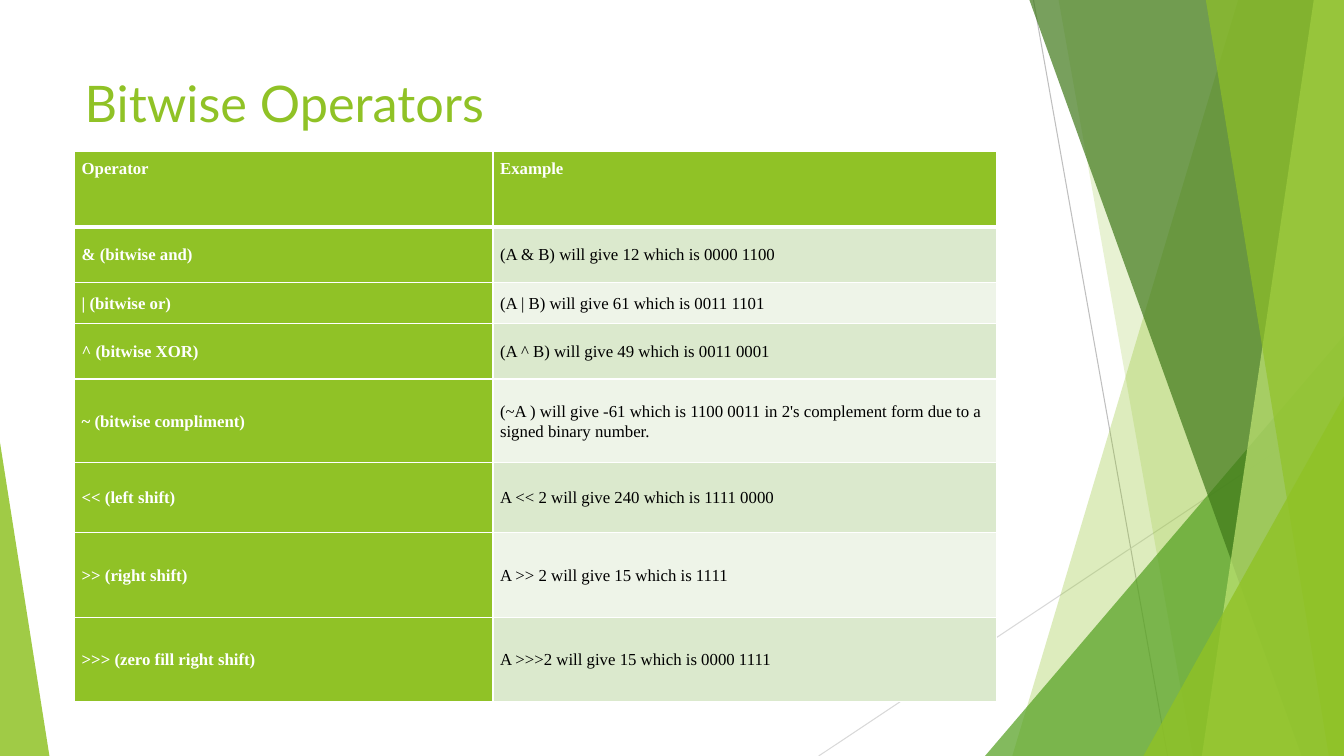
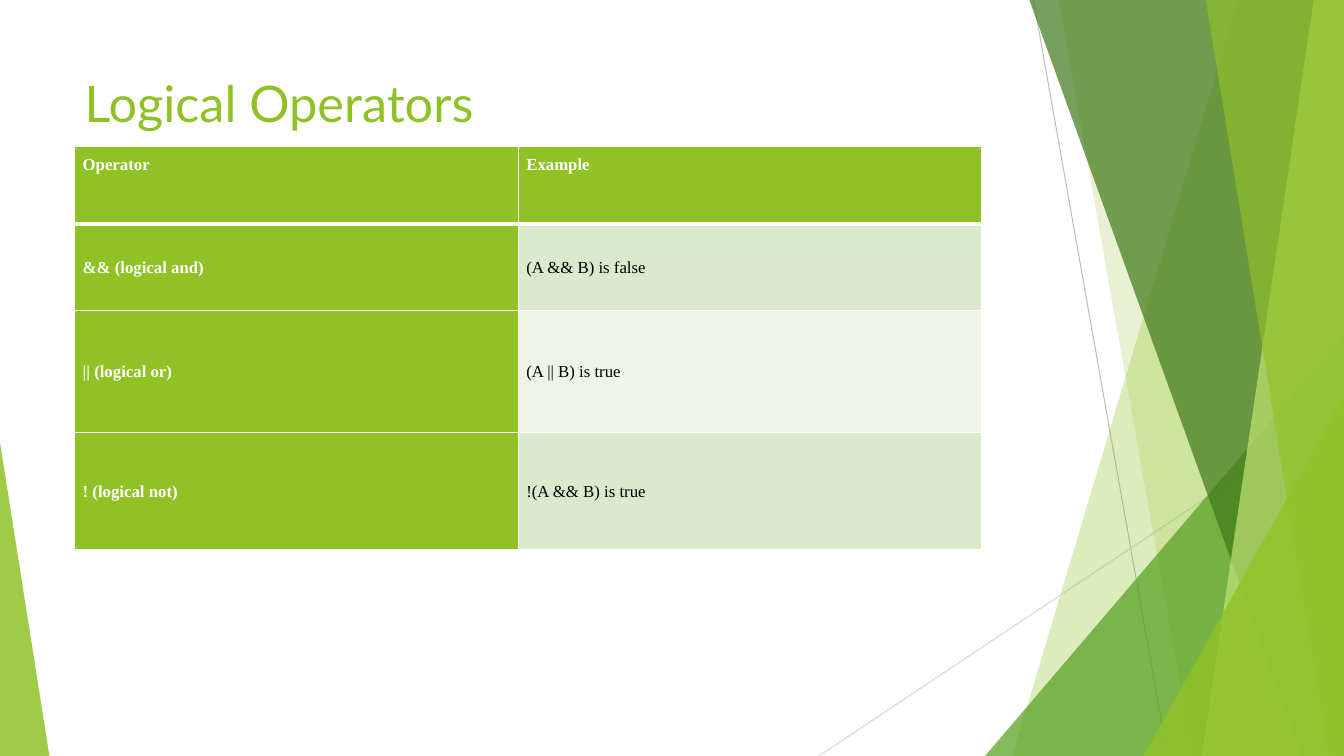
import lxml.etree
import pptx
import pptx.dml.color
import pptx.enum.shapes
import pptx.enum.text
import pptx.oxml.ns
import pptx.util

Inches, Pt = pptx.util.Inches, pptx.util.Pt
RGB = pptx.dml.color.RGBColor.from_string
qn = pptx.oxml.ns.qn
ANCHOR = pptx.enum.text.MSO_ANCHOR

# Content
SLIDES = [
    {
        "title": "Bitwise Operators",
        "top": 1.5,
        "cols": [4.15, 4.99],
        "heights": [0.75, 0.55, 0.41, 0.55, 0.83, 0.69, 0.85, 0.83],
        "pad": 0.07,
        "rows": [
            ("Operator", "Example"),
            ("& (bitwise and)", "(A & B) will give 12 which is 0000 1100"),
            ("| (bitwise or)", "(A | B) will give 61 which is 0011 1101"),
            ("^ (bitwise XOR)", "(A ^ B) will give 49 which is 0011 0001"),
            ("~ (bitwise compliment)",
             "(~A ) will give -61 which is 1100 0011 in 2's complement form "
             "due to a signed binary number."),
            ("<< (left shift)", "A << 2 will give 240 which is 1111 0000"),
            (">> (right shift)", "A >> 2 will give 15 which is 1111"),
            (">>> (zero fill right shift)", "A >>>2 will give 15 which is 0000 1111"),
        ],
    },
    {
        "title": "Logical Operators",
        "top": 1.45,
        "cols": [4.4, 4.6],
        "heights": [0.77, 0.86, 1.21, 1.16],
        "pad": 0.08,
        "rows": [
            ("Operator", "Example"),
            ("&& (logical and)", "(A && B) is false"),
            ("|| (logical or)", "(A || B) is true"),
            ("! (logical not)", "!(A && B) is true"),
        ],
    },
]

# Theme
THEME = {
    "lime": "90C226", "green": "54A021", "forest": "3F7819", "pale": "C0E474",
    "white": "FFFFFF", "black": "000000", "bands": ("EEF4E8", "DBE9CD"),
    "title_font": "Lato", "title_size": 36,
    "cell_font": {"name": "Times New Roman", "size": Pt(12)},
    "cell_par": {"line_spacing": 1.07, "space_after": Pt(15)},
    "rule": 1, "header_rule": 3, "hairline": 0.75,
}
W, H, LEFT = 13.33, 7.5, 0.74
TITLE_BOX = {"left": LEFT, "top": 0.67, "width": 9.4, "height": 0.78}

# Backdrop, back to front
LINES = [(10.25, 0, 11.58, H, "BFBFBF"), (W, 4.03, 8.12, H, "D9D9D9")]
# band: edge x at top and bottom; triangle: left, top, width, apex
FACETS = [
    ("band", (12.28, 10.04), "lime", 30),
    ("band", (10.5, 11.83), "lime", 20),
    ("triangle", (9.77, 3.33, 3.56, 1), "green", 72),
    ("band", (10.21, 12.91), "forest", 70),
    ("band", (13.03, 11.92), "pale", 70),
    ("band", (11.96, 13.18), "lime", 65),
    ("triangle", (11.34, 3.93, 1.99, 1), "lime", 80),
    ("triangle", (0, 4.39, 0.49, 0), "lime", 85),
]


def assign(obj, values):
    for name, value in values.items():
        setattr(obj, name, value)


def add_fill(parent, color):
    fill = lxml.etree.SubElement(parent, qn("a:solidFill"))
    lxml.etree.SubElement(fill, qn("a:srgbClr"), val=color)
    return fill


def add_band(shapes, top_x, bottom_x):
    corners = [(top_x, 0), (W, 0), (W, H), (bottom_x, H)]
    points = [(Inches(x), Inches(y)) for x, y in corners]
    builder = shapes.build_freeform(*points[0])
    builder.add_line_segments(points[1:], close=True)
    return builder.convert_to_shape()


def add_triangle(shapes, left, top, width, apex):
    box = [Inches(v) for v in (left, top, width, H - top)]
    sp = shapes.add_shape(pptx.enum.shapes.MSO_SHAPE.ISOSCELES_TRIANGLE, *box)
    sp.adjustments[0] = apex
    return sp


def style_title(master, layout):
    ph = layout.placeholders[0]
    assign(ph, {k: Inches(v) for k, v in TITLE_BOX.items()})
    assign(ph.text_frame, {"vertical_anchor": ANCHOR.TOP,
                           "auto_size": pptx.enum.text.MSO_AUTO_SIZE.NONE})
    level = master.element.find(f".//{qn('p:titleStyle')}/{qn('a:lvl1pPr')}")
    level.set("algn", "l")
    font = level.find(qn("a:defRPr"))
    font.set("sz", str(THEME["title_size"] * 100))
    font.find(qn("a:latin")).set("typeface", THEME["title_font"])
    font.replace(font.find(qn("a:solidFill")), add_fill(font, THEME["lime"]))


def add_backdrop(slide, master):
    """Draw the facets as a group and move it to the back of the master."""
    group = slide.shapes.add_group_shape()
    for *ends, color in LINES:
        line = group.shapes.add_connector(
            pptx.enum.shapes.MSO_CONNECTOR.STRAIGHT, *map(Inches, ends))
        line.line.color.rgb = RGB(color)
        line.line.width = Pt(THEME["hairline"])
        lxml.etree.SubElement(line.element.find(qn("p:spPr")), qn("a:effectLst"))
    makers = {"band": add_band, "triangle": add_triangle}
    for kind, geometry, color, opacity in FACETS:
        sp = makers[kind](group.shapes, *geometry)
        sp.shadow.inherit = False
        sp.fill.solid()
        sp.fill.fore_color.rgb = RGB(THEME[color])
        sp.line.fill.background()
        clr = sp.element.find(f".//{qn('a:solidFill')}/{qn('a:srgbClr')}")
        lxml.etree.SubElement(clr, qn("a:alpha"), val=str(opacity * 1000))
    master.shapes.element.insert(2, group.element)


def set_borders(cell, widths):
    props = cell.fill and cell._tc.get_or_add_tcPr()
    for i, (side, width) in enumerate(widths.items()):
        ln = lxml.etree.Element(qn(f"a:ln{side}"), w=str(Pt(width)))
        add_fill(ln, THEME["white"])
        props.insert(i, ln)


def style_cell(cell, text, row, col, pad):
    accent = row == 0 or col == 0
    sides = ("left", "right", "top", "bottom")
    assign(cell, {f"margin_{side}": Inches(pad) for side in sides})
    cell.vertical_anchor = ANCHOR.MIDDLE if row else ANCHOR.TOP
    cell.fill.solid()
    cell.fill.fore_color.rgb = RGB(THEME["lime"] if accent else THEME["bands"][row % 2])
    thin, thick = THEME["rule"], THEME["header_rule"]
    set_borders(cell, {"L": thin, "R": thin, "T": thick if row == 1 else thin,
                       "B": thick if row == 0 else thin})
    p = cell.text_frame.paragraphs[0]
    assign(p, THEME["cell_par"])
    r = p.add_run()
    r.text = text
    assign(r.font, {**THEME["cell_font"], "bold": accent})
    r.font.color.rgb = RGB(THEME["white" if accent else "black"])


def add_operator_table(slide, data):
    cols, heights = data["cols"], data["heights"]
    box = (LEFT, data["top"], sum(cols), sum(heights))
    table = slide.shapes.add_table(len(heights), len(cols), *map(Inches, box)).table
    for column, width in zip(table.columns, cols):
        column.width = Inches(width)
    for row, height in zip(table.rows, heights):
        row.height = Inches(height)
    for i, texts in enumerate(data["rows"]):
        for j, text in enumerate(texts):
            style_cell(table.cell(i, j), text, i, j, data["pad"])


def main():
    prs = pptx.Presentation()
    assign(prs, {"slide_width": Inches(W), "slide_height": Inches(H)})
    master, layout = prs.slide_master, prs.slide_layouts.get_by_name("Title Only")
    style_title(master, layout)
    for i, data in enumerate(SLIDES):
        slide = prs.slides.add_slide(layout)
        if i == 0:
            add_backdrop(slide, master)
        slide.shapes.title.text = data["title"]
        add_operator_table(slide, data)
    prs.save("out.pptx")


if __name__ == "__main__":
    main()
